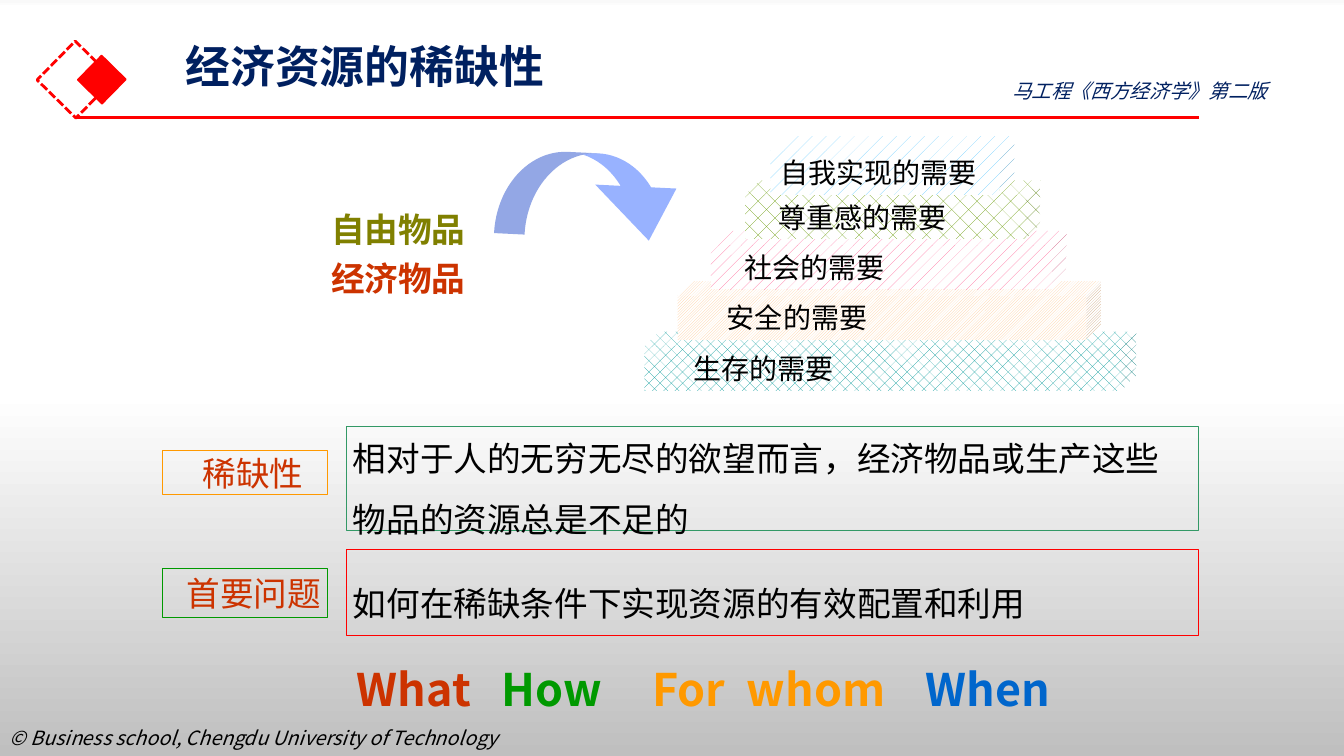
"""Build a slide on the scarcity of economic resources."""
from copy import deepcopy
from dataclasses import dataclass

from lxml import etree
from pptx import Presentation
from pptx import util as u
from pptx.dml.color import RGBColor
from pptx.enum import dml, shapes, text
from pptx.oxml import ns

FONT = "Noto Sans CJK SC"
LATIN = "Noto Sans CJK JP"
BLACK = RGBColor(0, 0, 0)
WHITE = RGBColor(255, 255, 255)
PALE = RGBColor(0xF9, 0xF9, 0xF9)
GREY = RGBColor(0xBF, 0xBF, 0xBF)
NAVY = RGBColor(0x00, 0x20, 0x60)
RED = RGBColor(0xFF, 0x00, 0x00)
RUST = RGBColor(0xCC, 0x33, 0x00)
OLIVE = RGBColor(0x80, 0x80, 0x00)
GREEN = RGBColor(0x00, 0x99, 0x00)
JADE = RGBColor(0x33, 0x99, 0x66)
AMBER = RGBColor(0xFF, 0x99, 0x00)
BLUE = RGBColor(0x00, 0x66, 0xCC)
ROYAL = RGBColor(0x33, 0x66, 0xFF)
TEAL = RGBColor(0x00, 0x99, 0x99)
PEACH = RGBColor(0xFF, 0xCC, 0x99)
PINK = RGBColor(0xFF, 0x66, 0x99)
MOSS = RGBColor(0x66, 0x99, 0x00)
SKY = RGBColor(0x66, 0xCC, 0xFF)

KIND = shapes.MSO_SHAPE
ALIGN = text.PP_ALIGN
MID = text.MSO_ANCHOR.MIDDLE
TOP = text.MSO_ANCHOR.TOP
PAT = dml.MSO_PATTERN

Place = tuple[float, float, float, float]
Parts = list[tuple[str, RGBColor]]


@dataclass
class Need:
    words: str
    place: Place
    inset: float
    pattern: int
    color: RGBColor


@dataclass
class Panel:
    words: str
    place: Place
    inset: float
    border: RGBColor
    color: RGBColor
    spacing: float
    align: int


@dataclass
class Note:
    words: str
    place: Place
    color: RGBColor


NEEDS = [
    Need("生存的需要", (6.39, 3.29, 4.88, 0.58), 0.49, PAT.PERCENT_25, TEAL),
    Need("安全的需要", (6.72, 2.79, 4.2, 0.58), 0.49, PAT.LIGHT_UPWARD_DIAGONAL, PEACH),
    Need("社会的需要", (7.05, 2.29, 3.53, 0.58), 0.33, PAT.PERCENT_10, PINK),
    Need("尊重感的需要", (7.39, 1.79, 2.93, 0.58), 0.33, PAT.DOTTED_DIAMOND, MOSS),
    Need("自我实现的需要", (7.64, 1.35, 2.42, 0.58), 0.1, PAT.PERCENT_5, SKY),
]
PANELS = [
    Panel("相对于人的无穷无尽的欲望而言，经济物品或生产这些物品的资源总是不足的",
          (3.44, 4.23, 8.45, 1.03), 0.06, JADE, BLACK, 1.5, ALIGN.LEFT),
    Panel("稀缺性", (1.61, 4.47, 1.64, 0.44), 0.4, AMBER, RUST, 1, ALIGN.LEFT),
    Panel("首要问题", (1.61, 5.64, 1.64, 0.49), 0.24, GREEN, RUST, 1, ALIGN.LEFT),
    Panel("如何在稀缺条件下实现资源的有效配置和利用",
          (3.44, 5.45, 8.45, 0.86), 0.06, RED, BLACK, 1.5, ALIGN.JUSTIFY),
]
NOTES = [
    Note("© Business school, Chengdu University of Technology", (0, 7.15, 6.34, 0.56), BLACK),
    Note("马工程《西方经济学》第二版", (9.94, 0.73, 3.24, 0.34), NAVY),
]
ASKS = [("What", RUST), ("\tHow", GREEN), ("\tFor\twhom", AMBER), ("\tWhen", BLUE)]
TABS = [1.44, 2.93, 3.87, 5.64]
STOPS = [(0, PALE), (0.01, WHITE), (0.52, WHITE), (1, GREY)]


def apply(item, values: dict) -> None:
    for key, value in values.items():
        setattr(item, key, value)


def inches(place: Place) -> list:
    return [u.Inches(n) for n in place]


def child(parent, tag: str, **values: str):
    return etree.SubElement(parent, ns.qn(tag), values)


def frame(shape, left: float = 0.1, right: float = 0.1, edge: float = 0.05, anchor=MID):
    box = shape.text_frame
    apply(box, {
        "word_wrap": True, "auto_size": text.MSO_AUTO_SIZE.NONE,
        "vertical_anchor": anchor,
        "margin_left": u.Inches(left), "margin_right": u.Inches(right),
        "margin_top": u.Inches(edge), "margin_bottom": u.Inches(edge),
    })
    return box


def write(para, parts: Parts, size: int, align=ALIGN.LEFT, spacing: float = 1,
          name: str = FONT, **style: bool) -> None:
    apply(para, {"alignment": align, "line_spacing": spacing, "space_before": u.Pt(0)})
    for words, color in parts:
        run = para.add_run()
        run.text = words
        apply(run.font, {"size": u.Pt(size), "name": name, **style})
        run.font.color.rgb = color
        child(run.font._element, "a:ea", typeface=name)


def add_shape(page, kind, place: Place, turn: float = 0):
    shape = page.shapes.add_shape(kind, *inches(place))
    shape.shadow.inherit = False
    shape.rotation = turn
    shape.fill.background()
    shape.line.fill.background()
    return shape


def outline(shape, color: RGBColor, width: float) -> None:
    shape.line.color.rgb = color
    shape.line.width = u.Pt(width)


def paint(page) -> None:
    fill = page.background.fill
    fill.gradient()
    fill.gradient_angle = 270
    stops = page._element.xpath(".//a:gsLst")[0]
    while len(stops) < len(STOPS):
        stops.append(deepcopy(stops[0]))
    for stop, (spot, color) in zip(fill.gradient_stops, STOPS):
        stop.position = spot
        stop.color.rgb = color


def add_mark(page) -> None:
    edge = add_shape(page, KIND.RECTANGLE, (0.48, 0.52, 0.54, 0.54), 314.5)
    outline(edge, RED, 2)
    edge.line.dash_style = dml.MSO_LINE.SQUARE_DOT
    gem = add_shape(page, KIND.RECTANGLE, (0.84, 0.62, 0.34, 0.34), 314.5)
    gem.fill.solid()
    gem.fill.fore_color.rgb = RED
    outline(gem, RED, 1)
    rule = page.shapes.add_connector(
        shapes.MSO_CONNECTOR.STRAIGHT, *inches((0.75, 1.17, 11.89, 1.17)))
    outline(rule, RED, 2.25)
    child(rule._element.spPr, "a:effectLst")


def add_heads(page) -> None:
    title, goods = page.placeholders
    for holder, place in ((title, (1.74, 0.41, 11.5, 0.95)), (goods, (2.99, 1.89, 1.92, 1.17))):
        apply(holder, dict(zip(("left", "top", "width", "height"), inches(place))))
    box = frame(title, edge=0.03, anchor=TOP)
    write(box.paragraphs[0], [("经济资源的稀缺性", NAVY)], 32, spacing=0.9, bold=True)
    box = frame(goods)
    box.add_paragraph()
    for para, part in zip(box.paragraphs, [("自由物品", OLIVE), ("经济物品", RUST)]):
        props = para._p.get_or_add_pPr()
        for key in ("marL", "indent"):
            props.set(key, "0")
        child(props, "a:buNone")
        write(para, [part], 24, ALIGN.CENTER, 1.2, bold=True)


def add_need(page, need: Need) -> None:
    cube = add_shape(page, KIND.CUBE, need.place)
    cube.fill.patterned()
    cube.fill.pattern = need.pattern
    cube.fill.fore_color.rgb = need.color
    cube.fill.back_color.rgb = WHITE
    box = frame(cube, need.inset, need.inset)
    write(box.paragraphs[0], [(need.words, BLACK)], 20, ALIGN.JUSTIFY)


def add_arrow(page) -> None:
    arrow = add_shape(page, KIND.CURVED_UP_ARROW, (4.92, 1.52, 1.94, 0.84), 182.8)
    for i, value in enumerate((0.36, 0.96, 0.63)):
        arrow.adjustments[i] = value
    arrow.fill.solid()
    arrow.fill.fore_color.rgb = ROYAL
    props = arrow._element.spPr
    props.xfrm.set("flipH", "1")
    child(props.xpath("./a:solidFill/a:srgbClr")[0], "a:alpha", val="50000")


def add_panel(page, panel: Panel) -> None:
    shape = add_shape(page, KIND.RECTANGLE, panel.place)
    outline(shape, panel.border, 0.75)
    box = frame(shape, panel.inset, 0.06)
    write(box.paragraphs[0], [(panel.words, panel.color)], 24, panel.align, panel.spacing)


def add_note(page, note: Note) -> None:
    box = frame(page.shapes.add_textbox(*inches(note.place)), anchor=TOP)
    write(box.paragraphs[0], [(note.words, note.color)], 14, italic=True)


def add_asks(page) -> None:
    box = frame(page.shapes.add_textbox(*inches((3.44, 6.67, 7.2, 0.33))), right=0)
    para = box.paragraphs[0]
    tabs = child(para._p.get_or_add_pPr(), "a:tabLst")
    for spot in TABS:
        child(tabs, "a:tab", pos=str(u.Inches(spot)), algn="l")
    write(para, ASKS, 32, name=LATIN, bold=True)


def main() -> None:
    deck = Presentation()
    apply(deck, {"slide_width": u.Inches(13.33), "slide_height": u.Inches(7.5)})
    page = deck.slides.add_slide(deck.slide_layouts[1])
    paint(page)
    add_mark(page)
    add_heads(page)
    for need in NEEDS:
        add_need(page, need)
    add_arrow(page)
    for panel in PANELS:
        add_panel(page, panel)
    for note in NOTES:
        add_note(page, note)
    add_asks(page)
    deck.save("out.pptx")


if __name__ == "__main__":
    main()
